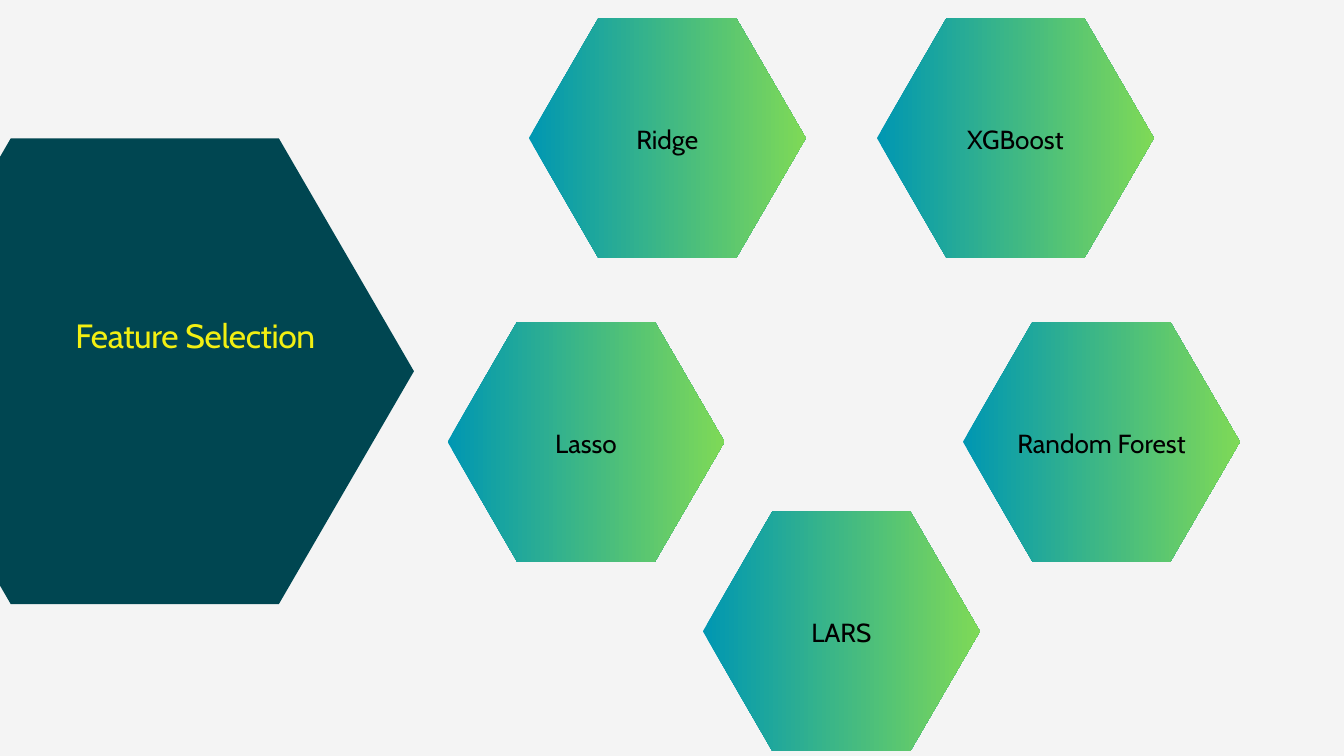
from dataclasses import dataclass

from pptx import Presentation
from pptx.dml.color import RGBColor
from pptx.enum.shapes import MSO_SHAPE
from pptx.enum.text import MSO_ANCHOR, MSO_AUTO_SIZE, PP_ALIGN
from pptx.util import Inches, Pt


@dataclass(frozen=True)
class Theme:
    background: str = "F4F4F4"
    panel: str = "004651"
    title: str = "F2EF12"
    label: str = "000000"
    gradient: tuple = ("0097B2", "7ED957")
    font: str = "Cabin"
    title_size: int = 36
    label_size: int = 28


THEME = Theme()
LINE_RATIO = 1.4
HEXAGON_WIDTH, HEXAGON_HEIGHT = 4.12, 3.57
LABEL_OFFSET, LABEL_HEIGHT = 1.49, 0.53

# label, hexagon left, hexagon top, label width
METHODS = [
    ("XGBoost", 13.05, 0.27, 3.35),
    ("Lasso", 6.66, 4.79, 2.62),
    ("LARS", 10.46, 7.61, 2.69),
    ("Ridge", 7.87, 0.27, 2.09),
    ("Random Forest", 14.33, 4.79, 2.91),
]


def write_text(box, text, *, size, color, align=PP_ALIGN.CENTER, spacing=None):
    frame = box.text_frame
    frame.word_wrap = True
    frame.auto_size = MSO_AUTO_SIZE.NONE
    frame.vertical_anchor = MSO_ANCHOR.TOP
    frame.margin_left = frame.margin_right = 0
    frame.margin_top = frame.margin_bottom = 0
    para = frame.paragraphs[0]
    para.alignment = align
    para.space_before = Pt(0)
    para.line_spacing = Pt(spacing or size * LINE_RATIO)
    span = para.add_run()
    span.text = text
    span.font.name = THEME.font
    span.font.size = Pt(size)
    span.font.color.rgb = RGBColor.from_string(color)
    return span


def add_hexagon(page, left, top, width, height):
    """Add a regular hexagon without line, shadow or fill."""
    hexagon = page.shapes.add_shape(
        MSO_SHAPE.HEXAGON, Inches(left), Inches(top), Inches(width), Inches(height))
    hexagon.adjustments[0] = 0.29
    hexagon.shadow.inherit = False
    hexagon.line.fill.background()
    return hexagon


def add_title(page, text):
    """Set the title on a dark hexagon that bleeds off the left edge."""
    panel = add_hexagon(page, -1.85, 2.06, 8.01, 6.93)
    panel.fill.solid()
    panel.fill.fore_color.rgb = RGBColor.from_string(THEME.panel)

    title = page.shapes.title
    title.left, title.top = Inches(1.12), Inches(4.63)
    title.width, title.height = Inches(3.89), Inches(1.29)
    span = write_text(title, text, size=THEME.title_size, color=THEME.title,
                      align=PP_ALIGN.LEFT, spacing=46.8)
    span.font._element.set("spc", "-40")
    panel._element.addnext(title._element)


def add_method(page, text, left, top, label_width):
    hexagon = add_hexagon(page, left, top, HEXAGON_WIDTH, HEXAGON_HEIGHT)
    hexagon.fill.gradient()
    hexagon.fill.gradient_angle = 0
    for stop, position, color in zip(hexagon.fill.gradient_stops, (0, 1), THEME.gradient):
        stop.position = position
        stop.color.rgb = RGBColor.from_string(color)

    label_left = left + (HEXAGON_WIDTH - label_width) / 2
    label = page.shapes.add_textbox(
        Inches(label_left), Inches(top + LABEL_OFFSET),
        Inches(label_width), Inches(LABEL_HEIGHT))
    write_text(label, text, size=THEME.label_size, color=THEME.label)


def main():
    deck = Presentation()
    deck.slide_width, deck.slide_height = Inches(20), Inches(11.25)
    page = deck.slides.add_slide(deck.slide_layouts.get_by_name("Title Only"))
    page.background.fill.solid()
    page.background.fill.fore_color.rgb = RGBColor.from_string(THEME.background)

    add_title(page, "Feature Selection")
    for method in METHODS:
        add_method(page, *method)
    deck.save("out.pptx")


if __name__ == "__main__":
    main()
